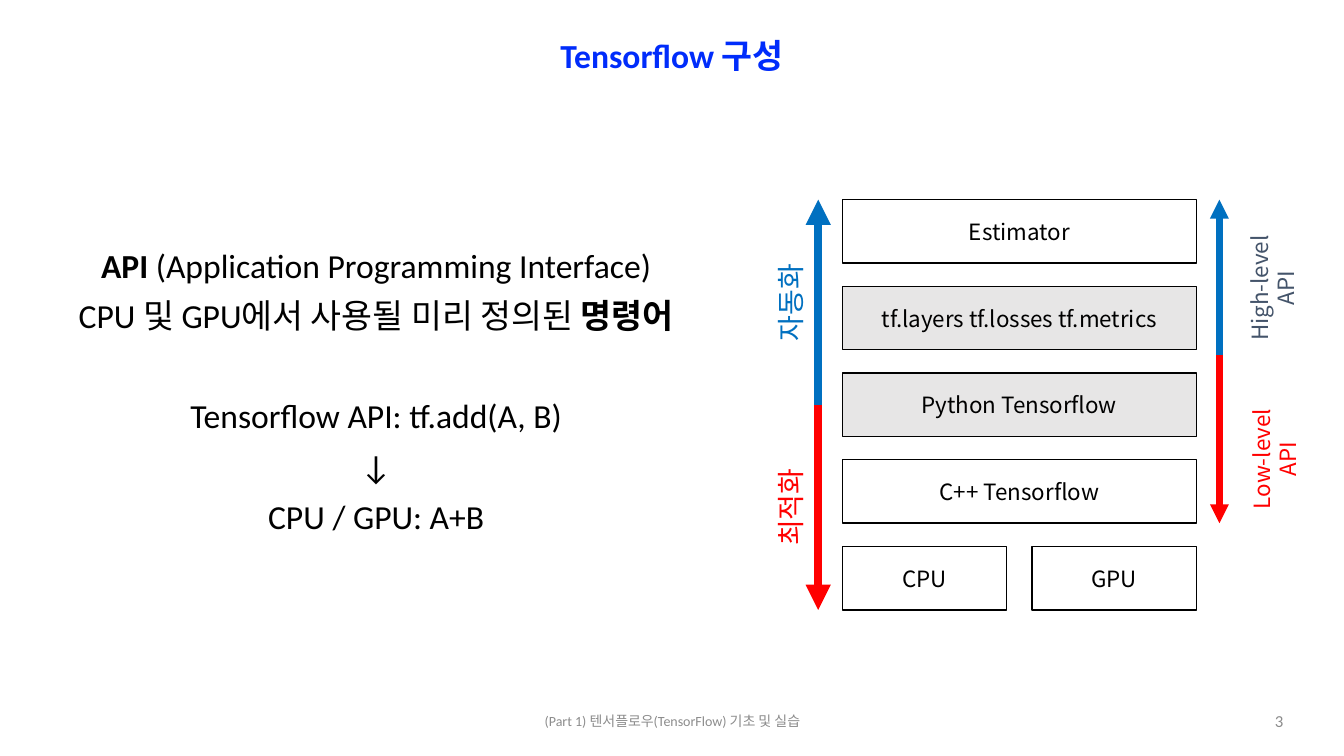
from pptx import Presentation
from pptx.dml.color import RGBColor
from pptx.enum.shapes import MSO_CONNECTOR, MSO_SHAPE
from pptx.enum.text import MSO_ANCHOR, PP_ALIGN
from pptx.oxml.ns import qn
from pptx.util import Cm, Pt
from lxml.etree import SubElement

THEME = {
    "latin": "Calibri", "korean": "Noto Sans CJK KR",
    "title": "002CFB", "ink": "000000", "muted": "8C8C8C", "slate": "44546A",
    "blue": "0070C0", "red": "FF0000", "gray": "E7E6E6",
    "big": 24, "label": 20, "box": 16, "number": 12, "footer": 10,
}

TITLE = [[("Tensorflow 구성", True)]]
BODY = [
    [("API", True), (" (Application Programming Interface)", False)],
    [("CPU 및 GPU에서 사용될 미리 정의된 ", False), ("명령어", True)],
    [("Tensorflow API: tf.add(A, B)", False)],
    [("↓", False)],
    [("CPU / GPU: A+B", False)],
]
BODY_GAPS = [0, 10, 46, 10, 10]
FOOTERS = [
    ("(Part 1) 텐서플로우(TensorFlow) 기초 및 실습", (11.23, 17.65, 11.43, 1.02), "footer", PP_ALIGN.CENTER),
    ("3", (31.55, 17.65, 1.04, 1.02), "number", PP_ALIGN.RIGHT),
]
STACK = [
    (["Estimator"], None),
    (["tf.layers tf.losses tf.metrics"], "gray"),
    (["Python Tensorflow"], "gray"),
    (["C++ Tensorflow"], None),
    (["CPU", "GPU"], None),
]
LEFT, TOP, WIDTH, HEIGHT, PITCH, GAP = 21.23, 5.03, 8.92, 1.6, 2.185, 0.64
BOTTOM = TOP + 4 * PITCH + HEIGHT
API_BOTTOM = BOTTOM - PITCH
GOALS = [("자동화", 7.62, "blue"), ("최적화", 12.78, "red")]
GOAL_X, GOAL_W, GOAL_H = 19.91, 5.18, 1.32
LEVELS = [("High-level", 31.32, 5.03, "slate"), ("Low-level", 31.37, 9.27, "red")]
ARROWS = [
    (20.62, (TOP + BOTTOM) / 2, TOP, "blue", 6),
    (20.62, (TOP + BOTTOM) / 2, BOTTOM, "red", 6),
    (30.73, 8.94, TOP, "blue", 4.5),
    (30.73, 8.94, API_BOTTOM, "red", 4.5),
]


def rgb(name):
    return RGBColor.from_string(THEME[name])


def write(shape, paragraphs, size, color, font="latin", align=PP_ALIGN.CENTER,
          anchor=MSO_ANCHOR.MIDDLE, spacing=None, gaps=None):
    tf = shape.text_frame
    tf.word_wrap = True
    tf.vertical_anchor = anchor
    for i, runs in enumerate(paragraphs):
        p = tf.paragraphs[0] if i == 0 else tf.add_paragraph()
        formats = {"alignment": align, "line_spacing": spacing,
                   "space_before": Pt(gaps[i]) if gaps else None}
        for key, value in formats.items():
            setattr(p, key, value)
        for text, bold in runs:
            r = p.add_run()
            r.text = text
            for key, value in {"size": Pt(THEME[size]), "name": THEME[font], "bold": bold}.items():
                setattr(r.font, key, value)
            r.font.color.rgb = rgb(color)
            SubElement(r.font._element, qn("a:ea")).set("typeface", THEME["korean"])


def text_box(s, at, paragraphs, size, color, **options):
    box = s.shapes.add_textbox(*map(Cm, at))
    write(box, paragraphs, size, color, **options)
    return box


def layer(s, at, text, fill):
    box = s.shapes.add_shape(MSO_SHAPE.RECTANGLE, *map(Cm, at))
    box.shadow.inherit = False
    if fill:
        box.fill.solid()
        box.fill.fore_color.rgb = rgb(fill)
    else:
        box.fill.background()
    box.line.color.rgb = rgb("ink")
    box.line.width = Pt(1)
    write(box, [[(text, False)]], "box", "ink", font="korean")
    margins = {"margin_left": 0.18, "margin_right": 0.18, "margin_top": 0.1, "margin_bottom": 0.1}
    for key, value in margins.items():
        setattr(box.text_frame, key, Cm(value))


def arrow(s, x, start, end, color, width):
    line = s.shapes.add_connector(MSO_CONNECTOR.STRAIGHT, Cm(x), Cm(start), Cm(x), Cm(end))
    line.line.color.rgb = rgb(color)
    line.line.width = Pt(width)
    SubElement(line.line._get_or_add_ln(), qn("a:tailEnd")).set("type", "triangle")
    SubElement(line._element.spPr, qn("a:effectLst"))


def main():
    prs = Presentation()
    prs.slide_width, prs.slide_height = Cm(33.87), Cm(19.05)
    s = prs.slides.add_slide(prs.slide_layouts[5])

    title = s.shapes.title
    for key, value in {"left": 0, "top": 0, "width": 33.87, "height": 2.92}.items():
        setattr(title, key, Cm(value))
    write(title, TITLE, "big", "title", spacing=0.9)

    text_box(s, (0.97, 6.15, 17.02, 8.08), BODY, "big", "ink",
             anchor=MSO_ANCHOR.TOP, spacing=0.9, gaps=BODY_GAPS)
    for text, at, size, align in FOOTERS:
        text_box(s, at, [[(text, False)]], size, "muted", align=align)

    for row, (names, fill) in enumerate(STACK):
        width = (WIDTH - GAP * (len(names) - 1)) / len(names)
        for col, name in enumerate(names):
            layer(s, (LEFT + col * (width + GAP), TOP + row * PITCH, width, HEIGHT), name, fill)

    for text, y, color in GOALS:
        at = (GOAL_X - GOAL_W / 2, y - GOAL_H / 2, GOAL_W, GOAL_H)
        text_box(s, at, [[(text, False)]], "label", color, font="korean").rotation = 270

    for text, x, y, color in LEVELS:
        box = text_box(s, (x, y, 1.5, 3.81), [[(text, False)], [("API", False)]],
                       "box", color, font="korean")
        box.rotation = 180
        box.text_frame._txBody.bodyPr.set("vert", "eaVert")

    for spot in ARROWS:
        arrow(s, *spot)

    prs.save("out.pptx")


if __name__ == "__main__":
    main()
